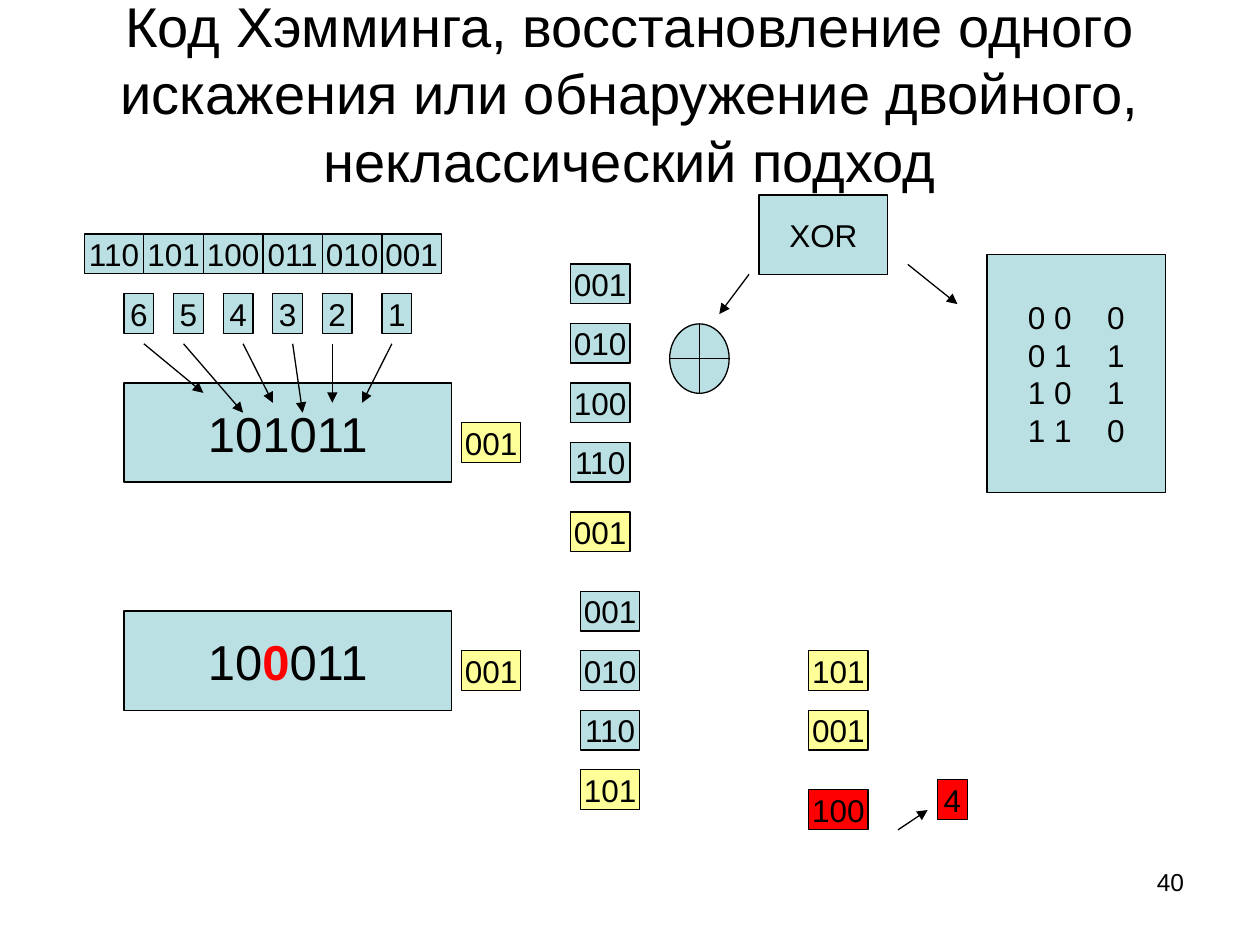
from lxml import etree
from pptx import Presentation
from pptx.dml.color import RGBColor
from pptx.enum.shapes import MSO_CONNECTOR, MSO_SHAPE
from pptx.enum.text import MSO_ANCHOR, MSO_AUTO_SIZE, PP_ALIGN
from pptx.oxml.ns import qn
from pptx.util import Cm, Pt

RECT, XOR_SIGN = MSO_SHAPE.RECTANGLE, MSO_SHAPE.FLOWCHART_OR
STRAIGHT = MSO_CONNECTOR.STRAIGHT
LEFT, CENTER, RIGHT = PP_ALIGN.LEFT, PP_ALIGN.CENTER, PP_ALIGN.RIGHT
TOP, MIDDLE = MSO_ANCHOR.TOP, MSO_ANCHOR.MIDDLE
NO_FIT = MSO_AUTO_SIZE.NONE
COLORS = {"bit": "BBE0E3", "sum": "FFFF99", "error": "FF0000", "ink": "000000"}

# Content; lengths in centimetres
TITLE = ("Код Хэмминга, восстановление одного искажения "
         "или обнаружение двойного, неклассический подход")
PAGE_NUMBER = "40"
BIT_CODES = ["110", "101", "100", "011", "010", "001"]
# bit number, left edge, arrow start x, arrow end (x, y)
BIT_NUMBERS = [
    ("6", 2.5, 2.9, (4.1, 7.92)),
    ("5", 3.5, 3.7, (4.9, 8.32)),
    ("4", 4.5, 4.9, (5.5, 8.12)),
    ("3", 5.5, 5.9, (6.1, 8.32)),
    ("2", 6.5, 6.7, (6.7, 8.12)),
    ("1", 7.7, 7.9, (7.3, 8.12)),
]
# word as (text, is distorted), top, top of its checksum
WORDS = [
    ([("101011", False)], 7.72, 8.52),
    ([("10", False), ("0", True), ("011", False)], 12.32, 13.12),
]
CHECKSUM = "001"
# left, top, stacked codes, result, result colour, gap before result
XOR_COLUMNS = [
    (11.5, 5.32, [("001", "bit"), ("010", "bit"), ("100", "bit"), ("110", "bit")],
     ("001", "sum"), 0.6),
    (11.7, 11.92, [("001", "bit"), ("010", "bit"), ("110", "bit")],
     ("101", "sum"), 0.4),
    (16.3, 13.12, [("101", "sum"), ("001", "sum")], ("100", "error"), 0.8),
]
XOR_TABLE = [("0 0", "0"), ("0 1", "1"), ("1 0", "1"), ("1 1", "0")]
POINTERS = [
    ((15.1, 5.53), (14.5, 6.33)),    # XOR to its sign
    ((18.3, 5.33), (19.3, 6.13)),    # XOR to its truth table
    ((18.1, 16.73), (18.7, 16.33)),  # result to the bit number
]
CODE_W, CODE_H, NUMBER_W, PITCH = 1.2, 0.8, 0.6, 1.2
WORD_X, WORD_W, WORD_H, CHECKSUM_X = 2.5, 6.6, 2, 9.3

presentation = Presentation()
presentation.slide_width, presentation.slide_height = Cm(25.4), Cm(19.05)
slide = presentation.slides.add_slide(presentation.slide_layouts[5])


def rgb(name):
    return RGBColor.from_string(COLORS[name])


def frame_format(frame, **values):
    for key, value in values.items():
        setattr(frame, key, value)


def write(paragraph, runs, size, align=CENTER):
    paragraph.alignment = align
    for text, distorted in runs:
        run = paragraph.add_run()
        run.text = text
        font_values = {"name": "Arial", "size": Pt(size), "bold": distorted}
        for key, value in font_values.items():
            setattr(run.font, key, value)
        run.font.color.rgb = rgb("error" if distorted else "ink")


def box(x, y, w, h, color="bit", runs=(), size=18, kind=RECT):
    cell = slide.shapes.add_shape(kind, Cm(x), Cm(y), Cm(w), Cm(h))
    cell.shadow.inherit = False
    cell.fill.solid()
    cell.fill.fore_color.rgb = rgb(color)
    cell.line.color.rgb = rgb("ink")
    cell.line.width = Pt(0.75)
    frame_format(cell.text_frame, word_wrap=False, vertical_anchor=MIDDLE)
    write(cell.text_frame.paragraphs[0], runs, size)
    return cell


def code(x, y, text, color="bit", width=CODE_W):
    box(x, y, width, CODE_H, color, [(text, False)])


def arrow(start, end):
    line = slide.shapes.add_connector(STRAIGHT, *map(Cm, start + end))
    line.line.color.rgb = rgb("ink")
    line.line.width = Pt(0.75)
    etree.SubElement(line.line._get_or_add_ln(), qn("a:tailEnd"), type="triangle")
    etree.SubElement(line._element.spPr, qn("a:effectLst"))


# Title
title = slide.shapes.title
title.left, title.top, title.width, title.height = map(Cm, (1.3, 0, 22.8, 3.73))
frame_format(title.text_frame, word_wrap=True, auto_size=NO_FIT, vertical_anchor=MIDDLE)
write(title.text_frame.paragraphs[0], [(TITLE, False)], 32)

# Sent and received words with their checksums
for runs, top, checksum_top in WORDS:
    box(WORD_X, top, WORD_W, WORD_H, "bit", runs, 28)
    code(CHECKSUM_X, checksum_top, CHECKSUM, "sum")

# Binary codes and bit numbers above the first word
for i, text in enumerate(BIT_CODES):
    code(1.7 + i * PITCH, 4.72, text)
for text, x, start_x, end in BIT_NUMBERS:
    code(x, 5.92, text, width=NUMBER_W)
    arrow((start_x, 6.93), end)

# Columns of codes added by XOR, with the result below
for x, top, codes, (result, result_color), gap in XOR_COLUMNS:
    for i, (text, color) in enumerate(codes):
        code(x, top + i * PITCH, text, color)
    code(x, top + (len(codes) - 1) * PITCH + CODE_H + gap, result, result_color)
code(18.9, 15.72, "4", "error", NUMBER_W)

# XOR operation, its sign and truth table
box(13.5, 6.53, 1.2, 1.4, kind=XOR_SIGN)
box(15.3, 3.93, 2.6, 1.6, runs=[("XOR", False)])
truth_table = box(19.9, 5.13, 3.6, 4.8).text_frame
frame_format(truth_table, word_wrap=True, margin_left=Cm(0.82), margin_right=0)
for i, (operands, result) in enumerate(XOR_TABLE):
    row = truth_table.add_paragraph() if i else truth_table.paragraphs[0]
    write(row, [(f"{operands}\t{result}", False)], 18, LEFT)
    tabs = etree.SubElement(row._p.get_or_add_pPr(), qn("a:tabLst"))
    etree.SubElement(tabs, qn("a:tab"), pos=str(Cm(1.6)), algn="l")

for start, end in POINTERS:
    arrow(start, end)

# Page number
number = slide.shapes.add_textbox(Cm(18.2), Cm(17.35), Cm(5.92), Cm(1.32)).text_frame
frame_format(number, word_wrap=True, vertical_anchor=TOP)
write(number.paragraphs[0], [(PAGE_NUMBER, False)], 14, RIGHT)

presentation.save("out.pptx")
